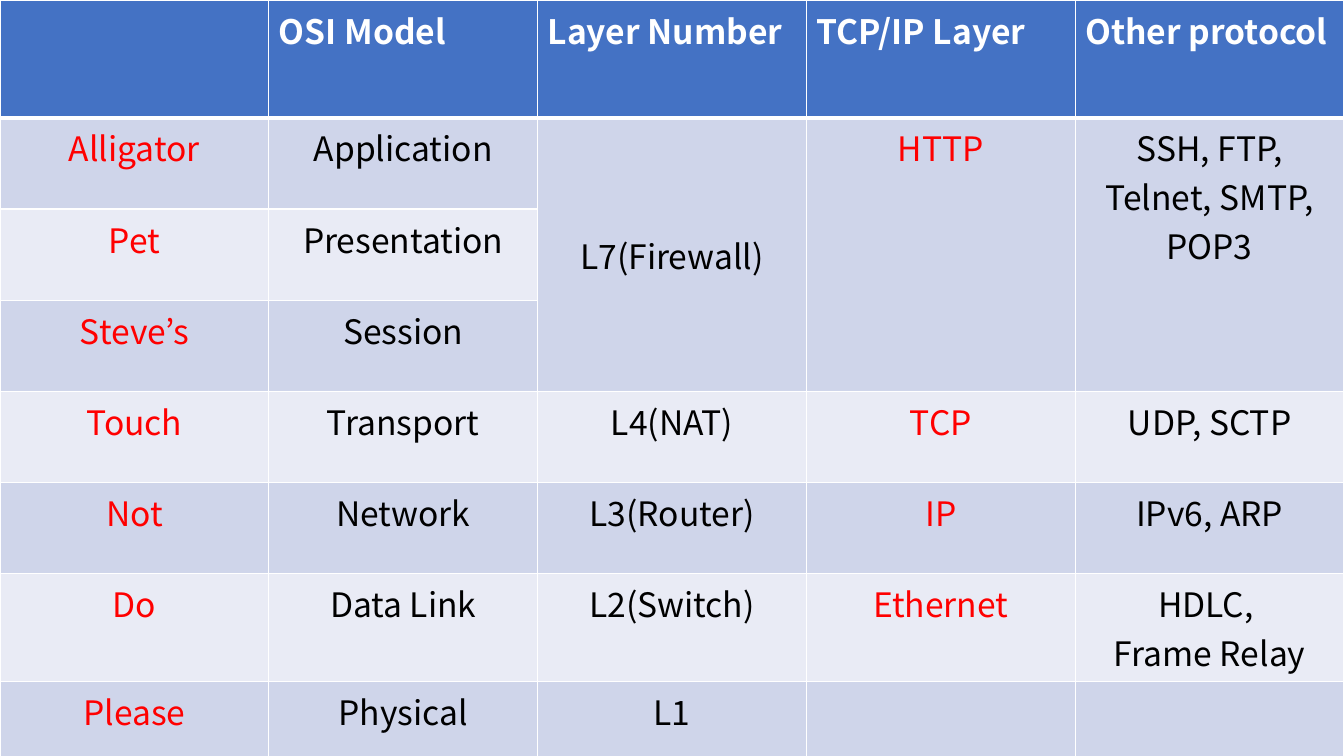
from lxml import etree
from pptx import Presentation
from pptx import util as u
from pptx.dml.color import RGBColor
from pptx.enum import text
from pptx.oxml import ns

WHITE = RGBColor(0xFF, 0xFF, 0xFF)
BLACK = RGBColor(0x00, 0x00, 0x00)
RED = RGBColor(0xFF, 0x00, 0x00)
BLUE = RGBColor(0x44, 0x72, 0xC4)
BANDS = (RGBColor(0xCF, 0xD5, 0xEA), RGBColor(0xE9, 0xEB, 0xF5))

WIDTH, HEIGHT, HEADER_HEIGHT = u.Cm(33.87), u.Cm(19.05), u.Cm(2.97)

LAYERS = [
    ["", "OSI Model", "Layer Number", "TCP/IP Layer", "Other protocol"],
    ["Alligator", "Application", "L7(Firewall)", "HTTP",
     "SSH, FTP, Telnet, SMTP, POP3"],
    ["Pet", "Presentation", "", "", ""],
    ["Steve’s", "Session", "", "", ""],
    ["Touch", "Transport", "L4(NAT)", "TCP", "UDP, SCTP"],
    ["Not", "Network", "L3(Router)", "IP", "IPv6, ARP"],
    ["Do", "Data Link", "L2(Switch)", "Ethernet", "HDLC, \nFrame Relay"],
    ["Please", "Physical", "L1", "", ""],
]
RED_COLUMNS = (0, 3)
L7_ROWS = (1, 3)
L7_COLUMNS = (2, 3, 4)


class LayerSlide:
    """Holds the text style and the current slide."""

    font_format = {"name": "Noto Sans CJK KR", "size": u.Pt(24)}

    def __init__(self, deck):
        """Add a blank slide to the deck."""
        self.slide = deck.slides.add_slide(deck.slide_layouts[6])

    def add_grid(self, content, header_height):
        """Add a full-slide table with a header and banded rows."""
        rows, columns = len(content), len(content[0])
        grid = self.slide.shapes.add_table(rows, columns, 0, 0, WIDTH, HEIGHT).table
        for column in grid.columns:
            column.width = WIDTH // columns
        for row in grid.rows:
            row.height = (HEIGHT - header_height) // (rows - 1)
        grid.rows[0].height = header_height
        for r, entries in enumerate(content):
            for c, wording in enumerate(entries):
                self.fill_cell(grid.cell(r, c), wording, r, c)
        return grid

    def fill_cell(self, cell, wording, row, column):
        """Set one cell's band, borders and wording."""
        header = row == 0
        cell.fill.solid()
        cell.fill.fore_color.rgb = BLUE if header else BANDS[(row - 1) % 2]
        self.add_borders(cell, {"lnL": 1, "lnR": 1, "lnT": 3 if row == 1 else 1,
                                "lnB": 3 if header else 1})
        if not wording:
            return
        cell.text = wording
        color = WHITE if header else RED if column in RED_COLUMNS else BLACK
        for paragraph in cell.text_frame.paragraphs:
            paragraph.alignment = (text.PP_ALIGN.LEFT if header
                                   else text.PP_ALIGN.CENTER)
            font = paragraph.runs[0].font
            for key, value in {**self.font_format, "bold": header}.items():
                setattr(font, key, value)
            font.color.rgb = color

    def add_borders(self, cell, widths):
        """Draw white cell borders, widths in points by side."""
        properties = cell._tc.get_or_add_tcPr()
        for position, (side, width) in enumerate(widths.items()):
            line = etree.Element(ns.qn("a:" + side), w=str(u.Pt(width)))
            fill = etree.SubElement(line, ns.qn("a:solidFill"))
            etree.SubElement(fill, ns.qn("a:srgbClr"), val=str(WHITE))
            properties.insert(position, line)


def main():
    """Build the network layer slide."""
    deck = Presentation()
    deck.slide_width, deck.slide_height = WIDTH, HEIGHT
    layers = LayerSlide(deck).add_grid(LAYERS, HEADER_HEIGHT)
    first, last = L7_ROWS
    for column in L7_COLUMNS:
        layers.cell(first, column).merge(layers.cell(last, column))
    layers.cell(first, L7_COLUMNS[0]).vertical_anchor = text.MSO_ANCHOR.MIDDLE
    deck.save("out.pptx")


main()
